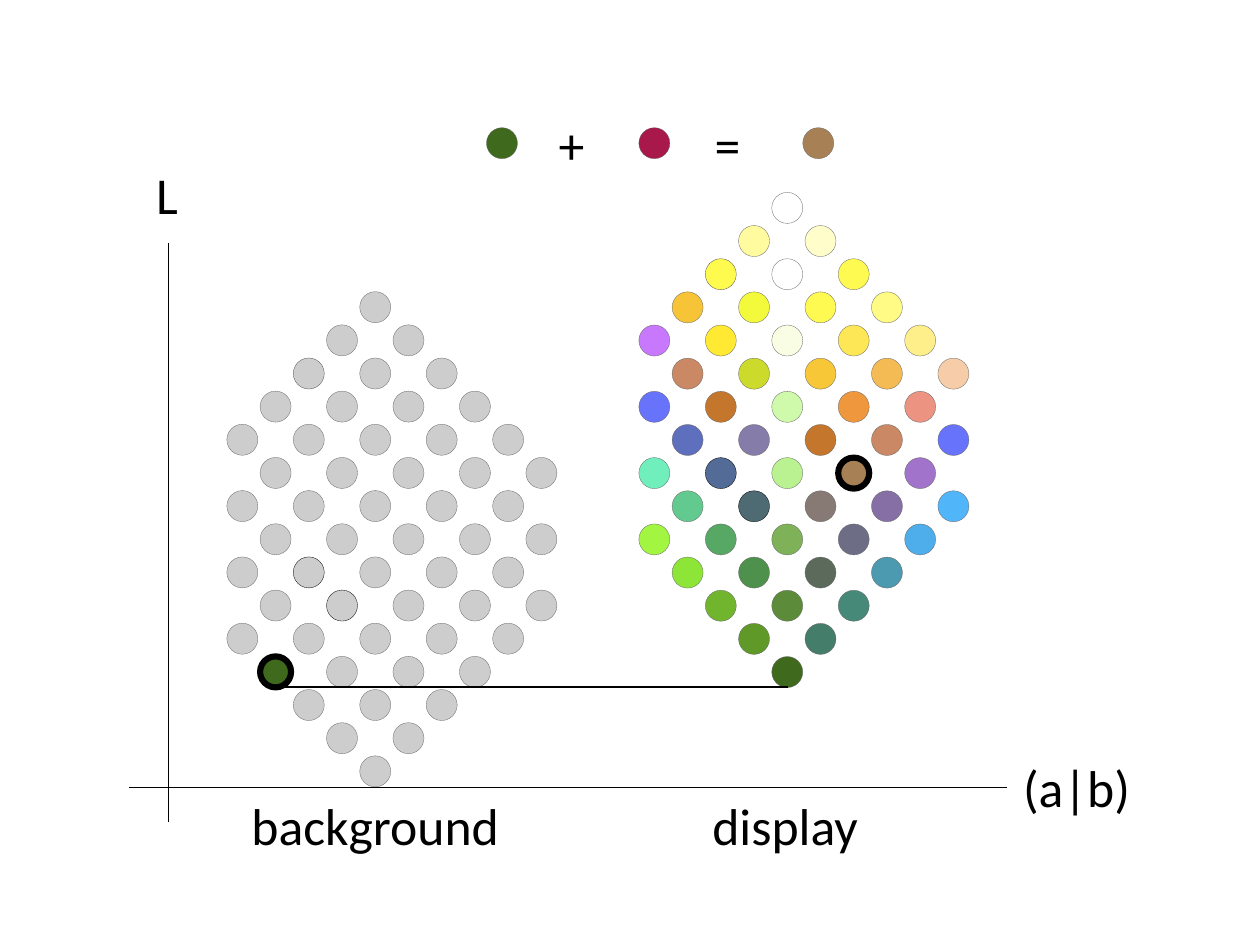
from lxml import etree
from pptx import Presentation
from pptx import util as u
from pptx.dml.color import RGBColor
from pptx.enum import shapes, text
from pptx.oxml import ns

WIDTH, HEIGHT = 14.22, 10.66
DOT = 0.35
COLUMN_STEP, ROW_STEP = 0.375, 0.374
ROWS, MAX_DOTS = 15, 5
GREY, GREEN, RED, BROWN = "CDCDCD", "3F691D", "A8184B", "A88056"
EDGE, BLACK = "676767", "000000"


def color(hex_string):
    return RGBColor.from_string(hex_string)


def add_dot(left, top, fill, edge=EDGE, edge_width=0.25):
    dot = slide.shapes.add_shape(shapes.MSO_SHAPE.OVAL, u.Inches(left), u.Inches(top),
                                 u.Inches(DOT), u.Inches(DOT))
    dot.shadow.inherit = False
    dot.fill.solid()
    dot.fill.fore_color.rgb = color(fill)
    dot.line.color.rgb = color(edge)
    dot.line.width = u.Pt(edge_width)


presentation = Presentation()
presentation.slide_width = u.Inches(WIDTH)
presentation.slide_height = u.Inches(HEIGHT)
slide = presentation.slides.add_slide(presentation.slide_layouts[6])

# Display colours, one line per lightness level from light to dark
display_colors = [row.split() for row in """
FFFFFF
FFFB9E FFFDC9
FFFA4E FEFFFE FFFA51
F7C437 F3F93B FFFA51 FFFB84
C878FD FFE932 F9FDE3 FEE757 FFEF8A
CA8864 CCDB2B F7C737 F4BB55 F6CDA8
6873FB C5762D CFFAAB EE973C EC9381
5D6FBD 857CA9 C5762D CA8864 6873FB
70EFBD 536C97 BAF291 A88056 A273CA
62CA8F 4E6B74 877A74 856FA4 51B5FA
A2F641 56A864 7EB158 6E6D86 4EADEB
8DE537 4D914D 5C6A5B 4B9AB0
71B42E 5C8B39 478979
5F9927 447D69
3F691D
""".strip().splitlines()]

# Background is grey except for the one selected colour
background_colors = [[GREY] * len(row) for row in display_colors]
background_colors[11][0] = GREEN

# Both gamuts: (left of top dot, top, colours, selected row and position)
gamuts = [
    (4.06, 3.29, background_colors, (11, 0)),
    (8.71, 2.17, display_colors, (8, 3)),
]
dark_edges = {(2, 0): "4D4D4D", (8, 1): BLACK, (9, 1): BLACK}

for center, top, colors, selected in gamuts:
    for row in range(ROWS):
        first_column = max(-row, row - ROWS + 1, row % 2 - MAX_DOTS + 1)
        for position, fill in enumerate(colors[row]):
            left = center + (first_column + 2 * position) * COLUMN_STEP
            cell = (row, position)
            if cell == selected:
                edge, edge_width = BLACK, 5
            else:
                edge, edge_width = dark_edges.get(cell, EDGE), 0.25
            add_dot(left, top + row * ROW_STEP, fill, edge, edge_width)

# Mixing equation: background + added colour = displayed colour
for left, fill in [(5.49, GREEN), (7.21, RED), (9.06, BROWN)]:
    add_dot(left, 1.44, fill)

# Axes and the level line that joins the two greens
for x1, y1, x2, y2 in [
    (1.9, 2.74, 1.9, 9.27),
    (1.46, 8.88, 11.36, 8.88),
    (3.08, 7.75, 8.89, 7.75),
]:
    line = slide.shapes.add_connector(shapes.MSO_CONNECTOR.STRAIGHT, u.Inches(x1),
                                      u.Inches(y1), u.Inches(x2), u.Inches(y2))
    line.line.color.rgb = color(BLACK)
    line.line.width = u.Pt(1)
    etree.SubElement(line._element.spPr, ns.qn("a:effectLst"))

# Axis names, gamut names and equation signs
for wording, left, top, width in [
    ("L", 1.73, 1.84, 0.31),
    ("(a|b)", 11.47, 8.53, 1.36),
    ("background", 2.58, 8.95, 3.31),
    ("display", 7.9, 8.95, 1.92),
    ("+ ", 6.27, 1.27, 0.49),
    ("= ", 8.03, 1.27, 0.49),
]:
    label = slide.shapes.add_textbox(u.Inches(left), u.Inches(top),
                                     u.Inches(width), u.Inches(0.7))
    frame = label.text_frame
    frame.margin_left = frame.margin_right = frame.margin_top = frame.margin_bottom = 0
    frame.word_wrap = False
    frame.vertical_anchor = text.MSO_ANCHOR.MIDDLE
    frame.text = wording
    paragraph = frame.paragraphs[0]
    paragraph.alignment = text.PP_ALIGN.CENTER
    font = paragraph.runs[0].font
    font.name = "Calibri"
    font.size = u.Pt(42)
    font.color.rgb = color(BLACK)

presentation.save("out.pptx")
